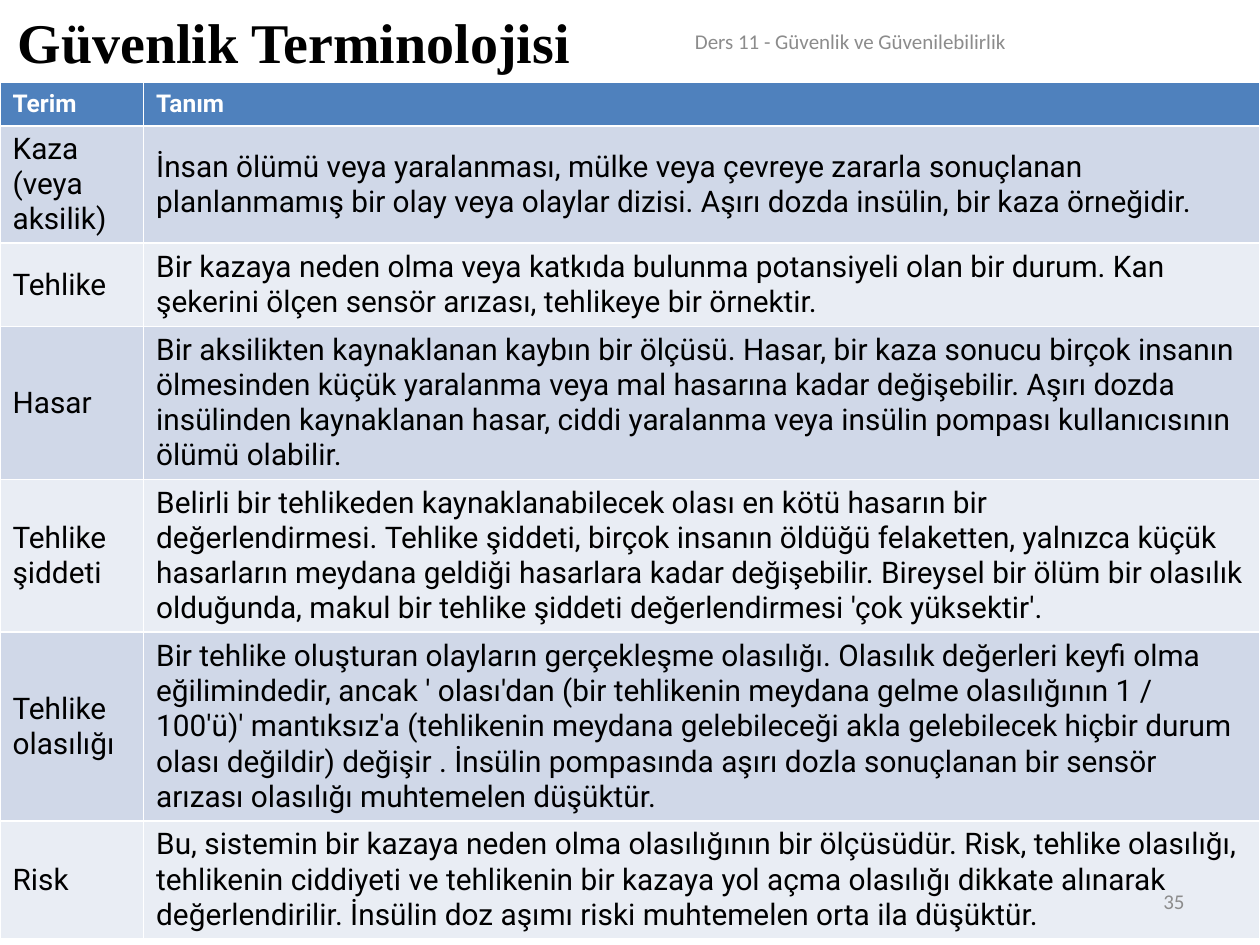
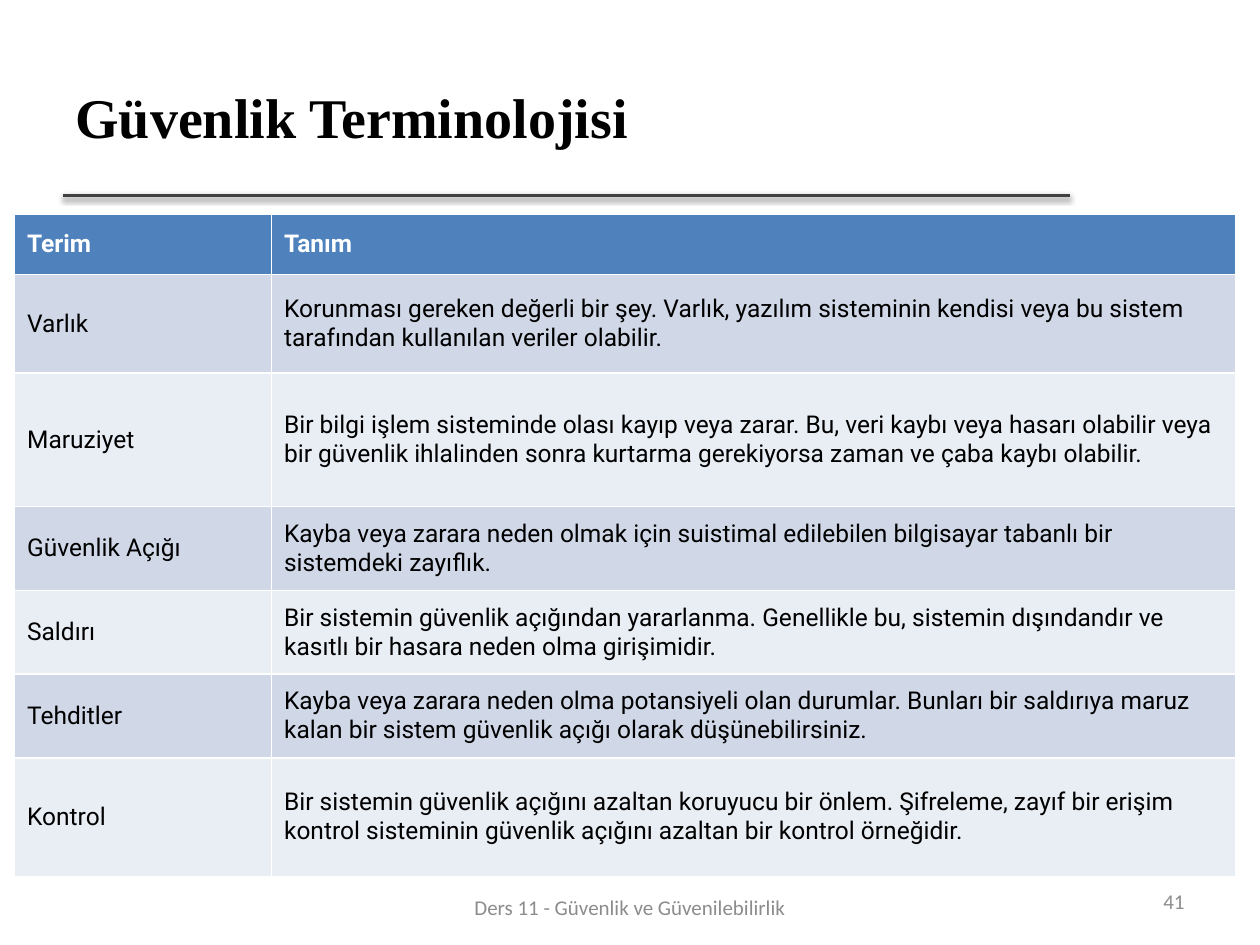
from lxml.etree import SubElement
from pptx import Presentation
from pptx.dml.color import RGBColor
from pptx.enum.shapes import MSO_CONNECTOR as Connector
from pptx.enum.text import MSO_ANCHOR as Anchor, PP_ALIGN as Align
from pptx.oxml.ns import qn
from pptx.util import Inches, Pt

BLACK = RGBColor(0x00, 0x00, 0x00)
WHITE = RGBColor(0xFF, 0xFF, 0xFF)
RULE_GREY = RGBColor(0x40, 0x40, 0x40)
FOOTER_GREY = RGBColor(0x8C, 0x8C, 0x8C)
HEADER_BLUE = RGBColor(0x4F, 0x81, 0xBD)
BANDS = (RGBColor(0xD0, 0xD8, 0xE8), RGBColor(0xE9, 0xED, 0xF4))

TITLE_FONT, TABLE_FONT, FOOTER_FONT = "Times New Roman", "Roboto", "Calibri"
TITLE = "Güvenlik Terminolojisi"
LECTURE = "Ders 11 - Güvenlik ve Güvenilebilirlik"
HEADINGS = ("Terim", "Tanım")
NO_BREAK = chr(160)

SAFETY_TERMS = [
    ("Kaza (veya aksilik)",
     "İnsan ölümü veya yaralanması, mülke veya çevreye zararla sonuçlanan planlanmamış "
     "bir olay veya olaylar dizisi. Aşırı dozda insülin, bir kaza örneğidir."),
    ("Tehlike",
     "Bir kazaya neden olma veya katkıda bulunma potansiyeli olan bir durum. "
     "Kan şekerini ölçen sensör arızası, tehlikeye bir örnektir."),
    ("Hasar",
     "Bir aksilikten kaynaklanan kaybın bir ölçüsü. Hasar, bir kaza sonucu birçok insanın "
     "ölmesinden küçük yaralanma veya mal hasarına kadar değişebilir. Aşırı dozda "
     "insülinden kaynaklanan hasar, ciddi yaralanma veya insülin pompası kullanıcısının "
     "ölümü olabilir."),
    ("Tehlike şiddeti",
     "Belirli bir tehlikeden kaynaklanabilecek olası en kötü hasarın bir değerlendirmesi. "
     "Tehlike şiddeti, birçok insanın öldüğü felaketten, yalnızca küçük hasarların meydana "
     "geldiği hasarlara kadar değişebilir. Bireysel bir ölüm bir olasılık olduğunda, makul "
     "bir tehlike şiddeti değerlendirmesi 'çok yüksektir'."),
    ("Tehlike olasılığı",
     "Bir tehlike oluşturan olayların gerçekleşme olasılığı. Olasılık değerleri keyfi olma "
     "eğilimindedir, ancak ' olası'dan (bir tehlikenin meydana gelme olasılığının "
     "1 / 100'ü)' mantıksız'a (tehlikenin meydana gelebileceği akla gelebilecek hiçbir "
     "durum olası değildir) değişir . İnsülin pompasında aşırı dozla sonuçlanan bir sensör "
     "arızası olasılığı muhtemelen düşüktür."),
    ("Risk",
     "Bu, sistemin bir kazaya neden olma olasılığının bir ölçüsüdür. Risk, tehlike "
     "olasılığı, tehlikenin ciddiyeti ve tehlikenin bir kazaya yol açma olasılığı dikkate "
     "alınarak değerlendirilir. İnsülin doz aşımı riski muhtemelen orta ila düşüktür."),
]

SECURITY_TERMS = [
    ("Varlık",
     "Korunması gereken değerli bir şey. Varlık, yazılım sisteminin kendisi veya bu sistem "
     "tarafından kullanılan veriler olabilir."),
    ("Maruziyet",
     "Bir bilgi işlem sisteminde olası kayıp veya zarar. Bu, veri kaybı veya hasarı "
     "olabilir veya bir güvenlik ihlalinden sonra kurtarma gerekiyorsa zaman ve çaba kaybı "
     "olabilir."),
    ("Güvenlik Açığı",
     "Kayba veya zarara neden olmak için suistimal edilebilen bilgisayar tabanlı bir "
     "sistemdeki zayıflık."),
    ("Saldırı",
     "Bir sistemin güvenlik açığından yararlanma. Genellikle bu, sistemin dışındandır ve "
     "kasıtlı bir hasara neden olma girişimidir."),
    ("Tehditler",
     "Kayba veya zarara neden olma potansiyeli olan durumlar. Bunları bir saldırıya maruz "
     "kalan bir sistem güvenlik açığı olarak düşünebilirsiniz."),
    ("Kontrol",
     "Bir sistemin güvenlik açığını azaltan koruyucu bir önlem. Şifreleme, zayıf bir "
     "erişim kontrol sisteminin güvenlik açığını azaltan bir kontrol örneğidir."),
]


class Deck:
    """Shared style and current slide; lengths are cells of a 100 x 75 grid."""

    COLUMNS, ROWS = 100, 75

    def __init__(self):
        self.prs = Presentation()
        self.prs.slide_width, self.prs.slide_height = Inches(10), Inches(7.5)
        self.layout = self.prs.slide_layouts[6]
        self.slide = None

    def new_slide(self):
        self.slide = self.prs.slides.add_slide(self.layout)

    def x(self, columns):
        return round(self.prs.slide_width * columns / self.COLUMNS)

    def y(self, rows):
        return round(self.prs.slide_height * rows / self.ROWS)

    def box(self, left, top, width, height):
        return self.x(left), self.y(top), self.x(width), self.y(height)

    @staticmethod
    def style(paragraph, font, size, color, bold=False, align=Align.LEFT):
        paragraph.alignment = align
        for run in paragraph.runs:
            run.font.name, run.font.size, run.font.bold = font, Pt(size), bold
            run.font.color.rgb = color

    def text(self, content, place, *look, **options):
        frame = self.slide.shapes.add_textbox(*self.box(*place)).text_frame
        frame.word_wrap = True
        frame.vertical_anchor = Anchor.MIDDLE
        frame.text = content
        self.style(frame.paragraphs[0], *look, **options)

    def title(self, place):
        self.text(TITLE, place, TITLE_FONT, 32, BLACK, bold=True)

    def footer(self, number, lecture_left, lecture_top):
        look = (FOOTER_FONT, 12, FOOTER_GREY)
        self.text(number, (71.7, 69.5, 23.3, 4), *look, align=Align.RIGHT)
        self.text(LECTURE, (lecture_left, lecture_top, 31.7, 4), *look, align=Align.CENTER)

    def shared_title_rule(self, left, right, row):
        rule = self.slide.shapes.add_connector(
            Connector.STRAIGHT, self.x(left), self.y(row), self.x(right), self.y(row))
        rule.line.color.rgb = RULE_GREY
        rule.line.width = Pt(2)
        # Soft shadow straight below the rule
        effects = SubElement(rule._element.spPr, qn("a:effectLst"))
        shadow = SubElement(effects, qn("a:outerShdw"), blurRad=str(Pt(3.1)),
                            dist=str(Pt(1.6)), dir="5400000", rotWithShape="0")
        black = SubElement(shadow, qn("a:srgbClr"), val=str(BLACK))
        SubElement(black, qn("a:alpha"), val="38000")
        # The layout carries the rule, so every slide has it behind its content
        self.layout.shapes._spTree.append(rule._element)

    @staticmethod
    def borders(cell):
        properties = cell._tc.get_or_add_tcPr()
        for side in "LRTB":
            line = SubElement(properties, qn("a:ln" + side), w=str(Pt(1)))
            fill = SubElement(line, qn("a:solidFill"))
            SubElement(fill, qn("a:srgbClr"), val=str(WHITE))

    def glossary(self, terms, left, top, widths, heights, size):
        entries = [HEADINGS, *terms]
        table = self.slide.shapes.add_table(
            len(entries), len(widths),
            *self.box(left, top, sum(widths), sum(heights))).table
        table.horz_banding = False
        for column, width in zip(table.columns, widths):
            column.width = self.x(width)
        for index, (row, height, entry) in enumerate(zip(table.rows, heights, entries)):
            row.height = self.y(height)
            header = index == 0
            for cell, content in zip(row.cells, entry):
                self.borders(cell)
                cell.fill.solid()
                cell.fill.fore_color.rgb = HEADER_BLUE if header else BANDS[(index - 1) % 2]
                cell.vertical_anchor = Anchor.MIDDLE
                cell.margin_top = cell.margin_bottom = self.y(0.4)
                # Each sentence is tied to the first word of the next
                cell.text_frame.text = content.replace(". ", "." + NO_BREAK)
                self.style(cell.text_frame.paragraphs[0], TABLE_FONT,
                           14 if header else size, WHITE if header else BLACK, bold=header)


def main():
    deck = Deck()

    # Safety terms, filling the slide
    deck.new_slide()
    deck.shared_title_rule(5, 84.9, 15.5)
    deck.title((0.4, 0.6, 79.8, 5.4))
    deck.glossary(SAFETY_TERMS, 0, 6.5, (11.4, 88.6),
                  (3.5, 9.3, 6.6, 12.1, 12.1, 15, 9.2), size=17)
    deck.footer("35", 51.65, 1.3)

    # Security terms, under the ruled title
    deck.new_slide()
    deck.title((5, 3, 79.8, 12.5))
    deck.glossary(SECURITY_TERMS, 1.15, 17, (20.4, 76.5),
                  (4.8, 7.8, 10.6, 6.65, 6.65, 6.65, 9.4), size=14)
    deck.footer("41", 34.15, 70)

    deck.prs.save("out.pptx")


if __name__ == "__main__":
    main()
